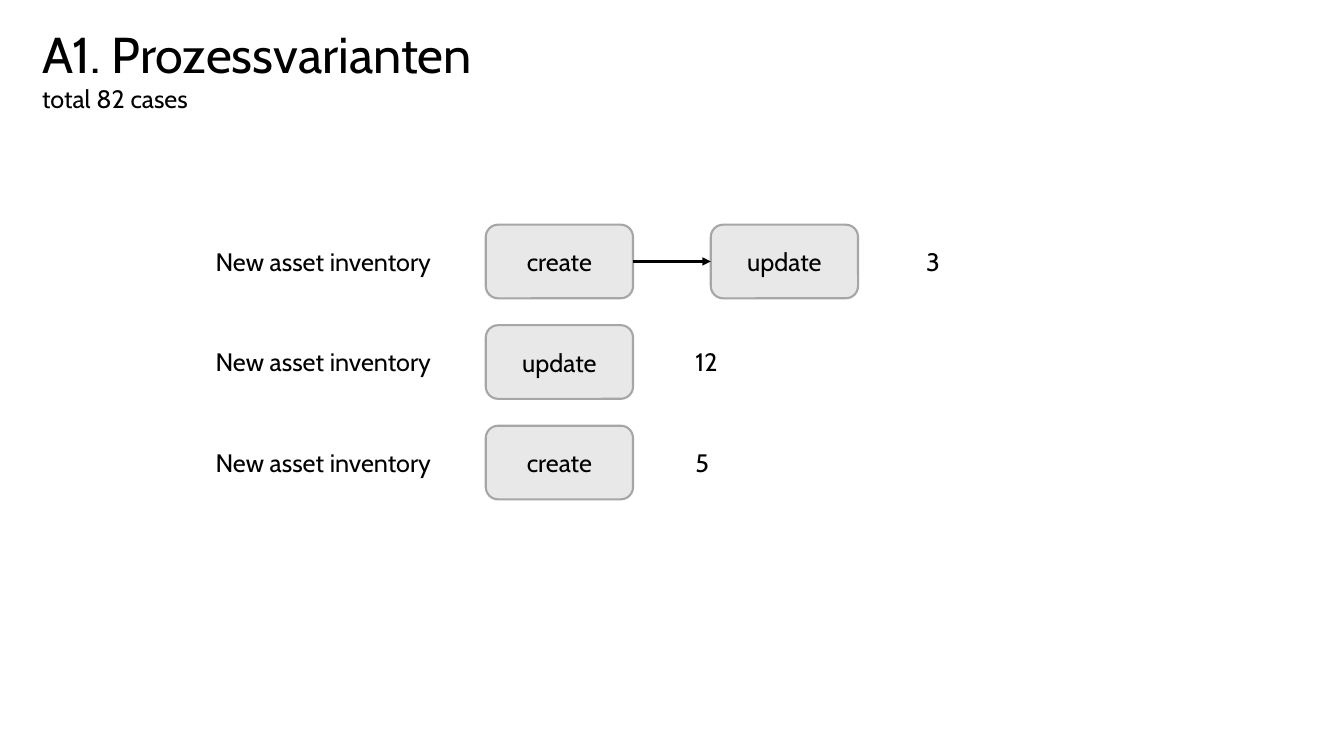
from dataclasses import dataclass

from lxml.etree import SubElement
from pptx import Presentation
from pptx.dml.color import RGBColor
from pptx.enum.shapes import MSO_CONNECTOR, MSO_SHAPE
from pptx.enum.text import MSO_ANCHOR, MSO_AUTO_SIZE, PP_ALIGN
from pptx.oxml.ns import qn
from pptx.shapes.autoshape import Shape
from pptx.shapes.shapetree import SlideShapes
from pptx.text.text import TextFrame
from pptx.util import Pt


@dataclass(frozen=True)
class Theme:
    font: str = "Cabin"
    ink: RGBColor = RGBColor(0x00, 0x00, 0x00)
    step_fill: RGBColor = RGBColor(0xE8, 0xE8, 0xE8)
    step_border: RGBColor = RGBColor(0xA6, 0xA6, 0xA6)
    title_size: float = 36
    body_size: float = 18
    line_width: float = 1.5


@dataclass(frozen=True)
class Variant:
    label: str
    steps: tuple[str, ...]
    count: str
    count_left: float


THEME = Theme()
VARIANTS = (
    Variant("New asset inventory", ("create", "update"), "3", 654.5),
    Variant("New asset inventory", ("update",), "12", 489.6),
    Variant("New asset inventory", ("create",), "5", 489.6),
)
FIRST_ROW_TOP, ROW_PITCH = 160.5, 71.8
FIRST_STEP_LEFT, STEP_PITCH = 347, 160.7
STEP_WIDTH, STEP_HEIGHT = 105.2, 52.6
LABEL_LEFT, LABEL_WIDTH = 146.9, 191.5
COUNT_WIDTH, TEXT_HEIGHT = 48, 29


def write_text(
    frame: TextFrame,
    text: str,
    *,
    size: float = THEME.body_size,
    align: PP_ALIGN = PP_ALIGN.LEFT,
    append: bool = False,
) -> None:
    paragraph = frame.add_paragraph() if append else frame.paragraphs[0]
    paragraph.alignment = align
    run = paragraph.add_run()
    run.text = text
    run.font.name = THEME.font
    run.font.size = Pt(size)
    run.font.color.rgb = THEME.ink


def add_text_area(
    shapes: SlideShapes, left: float, top: float, width: float, height: float, wrap: bool = True
) -> TextFrame:
    frame = shapes.add_textbox(Pt(left), Pt(top), Pt(width), Pt(height)).text_frame
    frame.word_wrap = wrap
    frame.auto_size = MSO_AUTO_SIZE.SHAPE_TO_FIT_TEXT
    return frame


def add_step(shapes: SlideShapes, name: str, left: float, top: float) -> Shape:
    step = shapes.add_shape(
        MSO_SHAPE.ROUNDED_RECTANGLE, Pt(left), Pt(top), Pt(STEP_WIDTH), Pt(STEP_HEIGHT)
    )
    step.shadow.inherit = False
    step.fill.solid()
    step.fill.fore_color.rgb = THEME.step_fill
    step.line.color.rgb = THEME.step_border
    step.line.width = Pt(THEME.line_width)
    step.text_frame.vertical_anchor = MSO_ANCHOR.MIDDLE
    write_text(step.text_frame, name, align=PP_ALIGN.CENTER)
    return step


def add_flow(shapes: SlideShapes, source: Shape, target: Shape) -> None:
    flow = shapes.add_connector(MSO_CONNECTOR.STRAIGHT, 0, 0, 0, 0)
    flow.begin_connect(source, 3)
    flow.end_connect(target, 1)
    flow.line.color.rgb = THEME.ink
    flow.line.width = Pt(THEME.line_width)
    SubElement(flow.line._get_or_add_ln(), qn("a:tailEnd"), type="triangle")
    SubElement(flow._element.spPr, qn("a:effectLst"))


def add_variant(shapes: SlideShapes, variant: Variant, top: float) -> None:
    text_top = top + (STEP_HEIGHT - TEXT_HEIGHT) / 2
    label = add_text_area(shapes, LABEL_LEFT, text_top, LABEL_WIDTH, TEXT_HEIGHT)
    write_text(label, variant.label)
    steps = [
        add_step(shapes, name, FIRST_STEP_LEFT + index * STEP_PITCH, top)
        for index, name in enumerate(variant.steps)
    ]
    for source, target in zip(steps, steps[1:]):
        add_flow(shapes, source, target)
    count = add_text_area(shapes, variant.count_left, text_top, COUNT_WIDTH, TEXT_HEIGHT)
    write_text(count, variant.count)


def main() -> None:
    presentation = Presentation()
    presentation.slide_width, presentation.slide_height = Pt(960), Pt(540)
    shapes = presentation.slides.add_slide(presentation.slide_layouts[6]).shapes
    heading = add_text_area(shapes, 23, 13, 341.3, 72.7, wrap=False)
    write_text(heading, "A1. Prozessvarianten", size=THEME.title_size)
    write_text(heading, "total 82 cases", append=True)
    for row, variant in enumerate(VARIANTS):
        add_variant(shapes, variant, FIRST_ROW_TOP + row * ROW_PITCH)
    presentation.save("out.pptx")


if __name__ == "__main__":
    main()
